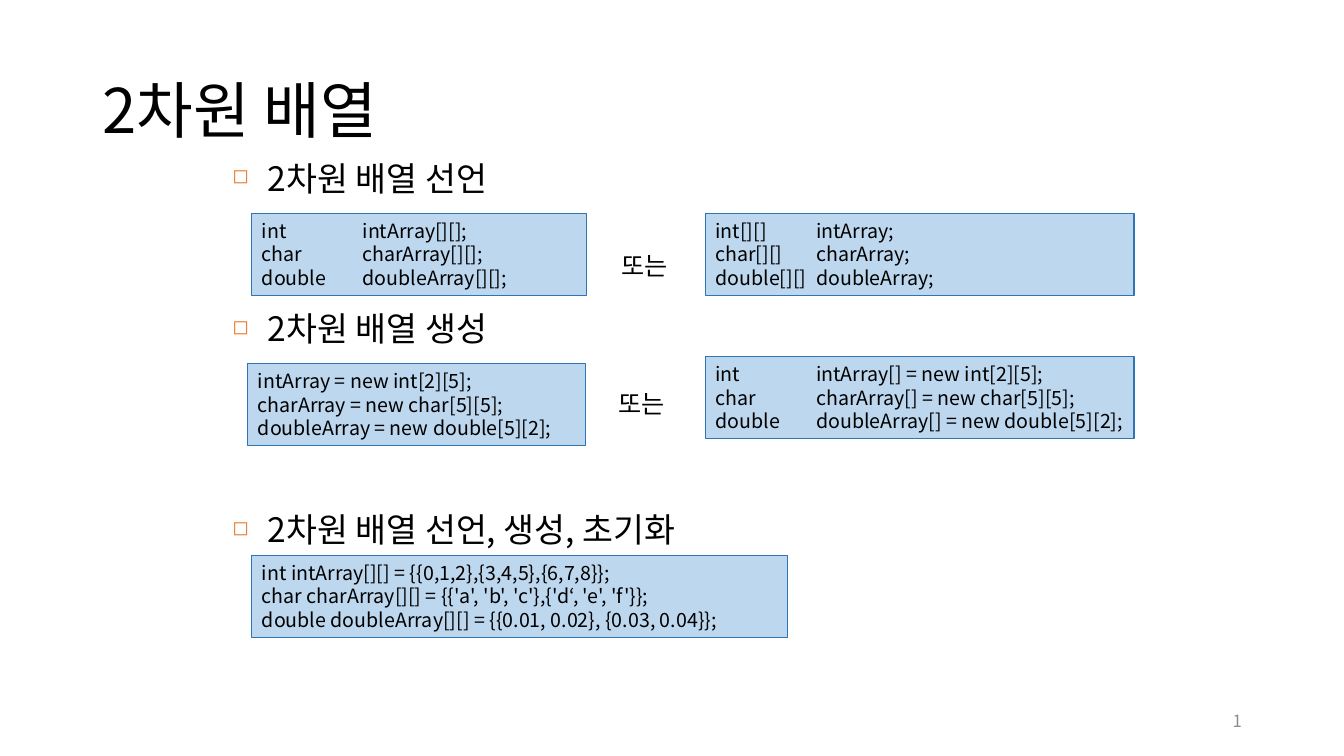
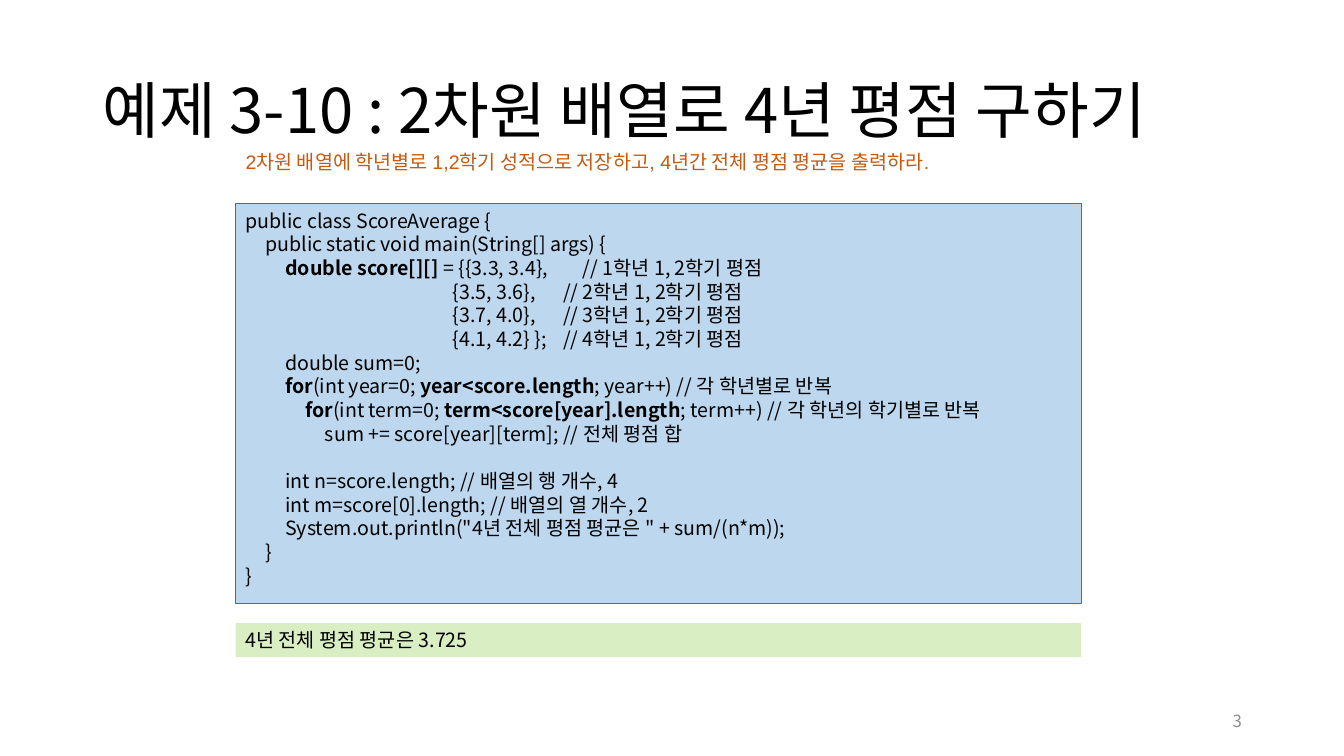
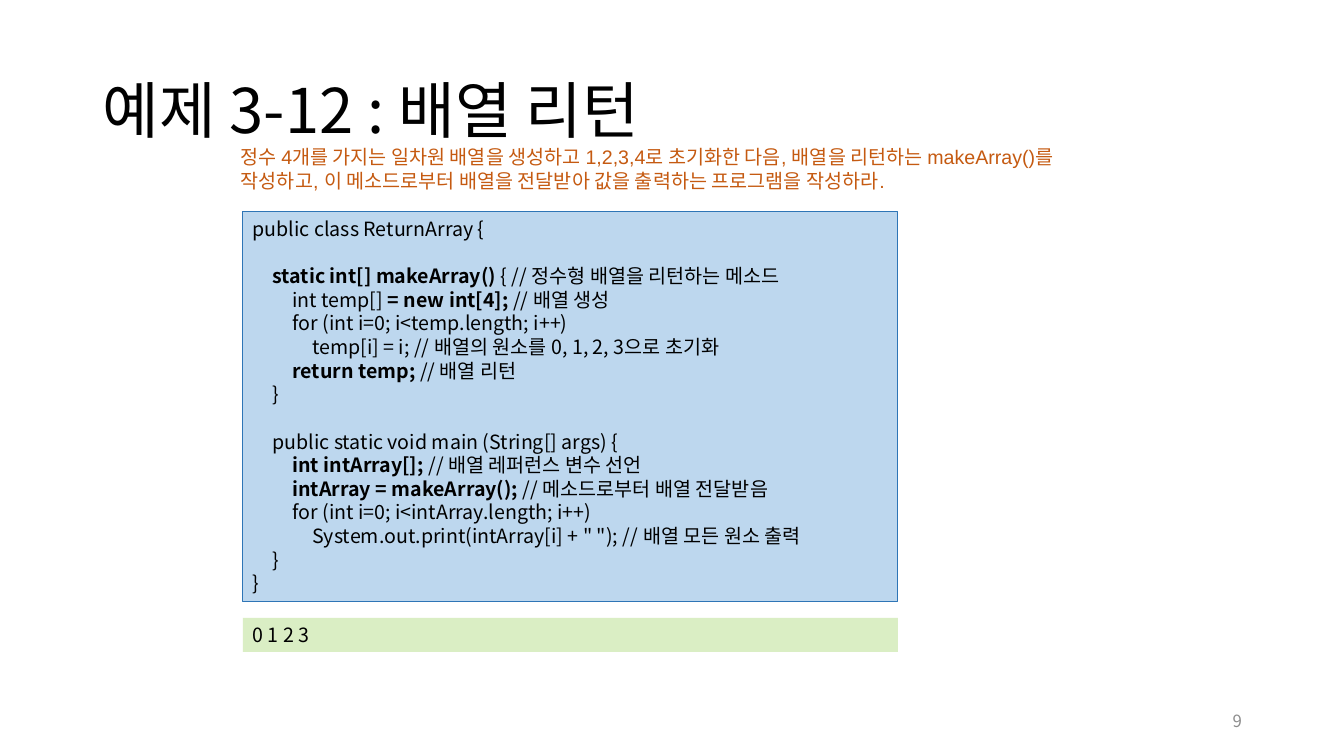
from lxml import etree
from pptx import Presentation
from pptx import util as u
from pptx.dml.color import RGBColor
from pptx.enum import shapes, text
from pptx.oxml import ns

BLACK = RGBColor(0x00, 0x00, 0x00)
GRAY = RGBColor(0x8C, 0x8C, 0x8C)
ORANGE = RGBColor(0xED, 0x7D, 0x31)
RUST = RGBColor(0xC5, 0x5A, 0x11)
CODE_FILL = RGBColor(0xBD, 0xD7, 0xEE)
CODE_LINE = RGBColor(0x2E, 0x75, 0xB6)
OUTPUT_FILL = RGBColor(0xDA, 0xEE, 0xC4)

FONT = "Noto Sans CJK KR"
TASK_FONT = "Arial"
LINE_RATIO = 1.205
WIDE_TAB, NARROW_TAB = 2.54, 0.5
TEXT_LINE_HEIGHT = 0.86
TITLE_BOX = (2.33, 1.01, 29.21, 3.68)
NUMBER_BOX = (23.93, 17.65, 7.62, 1.02)


def lengths(box):
    return [u.Cm(value) for value in box]


def add_property(paragraph, tag, **attributes):
    properties = paragraph._p.get_or_add_pPr()
    return etree.SubElement(properties, ns.qn(tag), attributes)


def format_font(paragraph, size, color=BLACK, name=FONT):
    font = paragraph.font
    font.name, font.size = name, u.Pt(size)
    font.color.rgb = color


def write_lines(frame, lines, size, color=BLACK, name=FONT, tab=None):
    """Write one paragraph per line; ** marks bold, an empty line is a gap."""
    frame.word_wrap = True
    frame.vertical_anchor = text.MSO_ANCHOR.TOP
    line_height = u.Pt(round(size * LINE_RATIO, 1))
    gap, paragraph = 0, None
    for line in lines:
        if not line:
            gap += line_height
            continue
        paragraph = frame.add_paragraph() if paragraph else frame.paragraphs[0]
        paragraph.alignment = text.PP_ALIGN.LEFT
        paragraph.line_spacing = line_height
        paragraph.space_before = u.Emu(gap)
        gap = 0
        if tab:
            stops = add_property(paragraph, "a:tabLst")
            for number in range(1, 25):
                etree.SubElement(stops, ns.qn("a:tab"),
                                 pos=str(u.Cm(number * tab)), algn="l")
        format_font(paragraph, size, color, name)
        for index, part in enumerate(line.split("**")):
            if part:
                run = paragraph.add_run()
                run.text = part
                if index % 2:
                    run.font.bold = True


def add_text(slide, box, lines, size, color=BLACK, name=FONT):
    textbox = slide.shapes.add_textbox(*lengths(box))
    write_lines(textbox.text_frame, lines, size, color, name)
    return textbox


def add_panel(slide, box, lines, fill, line=None, tab=WIDE_TAB):
    panel = slide.shapes.add_shape(shapes.MSO_SHAPE.RECTANGLE, *lengths(box))
    panel.shadow.inherit = False
    panel.fill.solid()
    panel.fill.fore_color.rgb = fill
    if line is None:
        panel.line.fill.background()
    else:
        panel.line.color.rgb = line
        panel.line.width = u.Pt(0.75)
    write_lines(panel.text_frame, lines, 14, tab=tab)


def add_slide(presentation, heading, number):
    """Start a slide with its title and page number."""
    slide = presentation.slides.add_slide(presentation.slide_layouts[5])
    title = slide.shapes.title
    title.left, title.top, title.width, title.height = lengths(TITLE_BOX)
    title.text_frame.text = heading
    title.text_frame.vertical_anchor = text.MSO_ANCHOR.MIDDLE
    paragraph = title.text_frame.paragraphs[0]
    paragraph.alignment = text.PP_ALIGN.LEFT
    paragraph.line_spacing = 0.9
    format_font(paragraph, 44)

    page = add_text(slide, NUMBER_BOX, [str(number)], 12, GRAY)
    page.text_frame.vertical_anchor = text.MSO_ANCHOR.MIDDLE
    page.text_frame.paragraphs[0].alignment = text.PP_ALIGN.RIGHT
    return slide


def add_topics(slide, box, topics):
    """Bulleted topics, each with the space to leave above it in points."""
    frame = slide.shapes.add_textbox(*lengths(box)).text_frame
    frame.word_wrap = True
    for index, (topic, space) in enumerate(topics):
        paragraph = frame.add_paragraph() if index else frame.paragraphs[0]
        paragraph.line_spacing = u.Pt(28.9)
        paragraph.space_before = u.Pt(space)
        properties = paragraph._p.get_or_add_pPr()
        properties.set("marL", str(u.Cm(0.89)))
        properties.set("indent", str(-u.Cm(0.89)))
        color = add_property(paragraph, "a:buClr")
        etree.SubElement(color, ns.qn("a:srgbClr"), val=str(ORANGE))
        add_property(paragraph, "a:buSzPct", val="60000")
        add_property(paragraph, "a:buChar", char="◻")
        format_font(paragraph, 24)
        paragraph.add_run().text = topic


def build_syntax_slide(presentation):
    slide = add_slide(presentation, "2차원 배열", 1)
    add_topics(slide, (5.61, 3.84, 22.66, 14.68), [
        ("2차원 배열 선언", 0),
        ("2차원 배열 생성", 78.8),
        ("2차원 배열 선언, 생성, 초기화", 114.7),
    ])
    snippets = [
        # Declaration
        (6.35, 5.38, 8.43, ["int\tintArray[][];", "char\tcharArray[][];",
                            "double\tdoubleArray[][];"]),
        (17.78, 5.38, 10.8, ["int[][]\tintArray;", "char[][]\tcharArray;",
                             "double[][]\tdoubleArray;"]),
        # Creation
        (6.25, 9.17, 8.51, ["intArray = new int[2][5];",
                            "charArray = new char[5][5];",
                            "doubleArray = new double[5][2];"]),
        (17.78, 8.99, 10.8, ["int\tintArray[] = new int[2][5];",
                             "char\tcharArray[] = new char[5][5];",
                             "double\tdoubleArray[] = new double[5][2];"]),
        # Initialisation
        (6.35, 14, 13.49, [
            "int intArray[][] = {{0,1,2},{3,4,5},{6,7,8}};",
            "char charArray[][] = {{'a', 'b', 'c'},{'d‘, 'e', 'f'}};",
            "double doubleArray[][] = {{0.01, 0.02}, {0.03, 0.04}};"]),
    ]
    for left, top, width, lines in snippets:
        add_panel(slide, (left, top, width, 2.06), lines, CODE_FILL, CODE_LINE)
    for left, top in ((15.42, 6.17), (15.34, 9.65)):
        add_text(slide, (left, top, 2.03, 1.02), ["또는"], 18)


def build_example_slide(presentation, heading, number, task, task_box,
                        code, code_box, output, output_top):
    """Task above, program in the middle, its output below."""
    slide = add_slide(presentation, heading, number)
    add_text(slide, task_box, [task], 14, RUST, TASK_FONT)
    add_panel(slide, code_box, code, CODE_FILL, CODE_LINE, NARROW_TAB)
    left, _, width, _ = code_box
    add_panel(slide, (left, output_top, width, TEXT_LINE_HEIGHT), [output],
              OUTPUT_FILL)


SCORE_COLUMN = "\t" * 10 + "  "
SCORE_CODE = [
    "public class ScoreAverage {",
    "\tpublic static void main(String[] args) {",
    "\t\t**double score[][] **= {{3.3, 3.4},\t\t// 1학년 1, 2학기 평점",
    SCORE_COLUMN + "{3.5, 3.6},\t\t// 2학년 1, 2학기 평점",
    SCORE_COLUMN + "{3.7, 4.0},\t\t// 3학년 1, 2학기 평점",
    SCORE_COLUMN + "{4.1, 4.2} };\t// 4학년 1, 2학기 평점",
    "\t\tdouble sum=0;",
    "\t\t**for**(int year=0; **year<score.length**; year++) // 각 학년별로 반복",
    "\t\t\t**for**(int term=0; **term<score[year].length**; term++)"
    " // 각 학년의 학기별로 반복",
    "\t\t\t\tsum += score[year][term]; // 전체 평점 합",
    "",
    "\t\tint n=score.length; // 배열의 행 개수, 4",
    "\t\tint m=score[0].length; // 배열의 열 개수, 2",
    "\t\tSystem.out.println(\"4년 전체 평점 평균은 \" + sum/(n*m));",
    "\t}",
    "}",
]

RETURN_CODE = [
    "public class ReturnArray {",
    "",
    "\t**static int[] makeArray() **{ // 정수형 배열을 리턴하는 메소드",
    "\t\tint temp[] **= new int[4]; **// 배열 생성",
    "\t\tfor (int i=0; i<temp.length; i++)",
    "\t\t\ttemp[i] = i; // 배열의 원소를 0, 1, 2, 3으로 초기화",
    "\t\t**return temp; **// 배열 리턴",
    "\t}",
    "",
    "\tpublic static void main (String[] args) {",
    "\t\t**int intArray[]; **// 배열 레퍼런스 변수 선언",
    "\t\t**intArray = makeArray(); **// 메소드로부터 배열 전달받음",
    "\t\tfor (int i=0; i<intArray.length; i++)",
    "\t\t\tSystem.out.print(intArray[i] + \" \"); // 배열 모든 원소 출력",
    "\t}",
    "}",
]


def main():
    presentation = Presentation()
    presentation.slide_width = u.Cm(33.87)
    presentation.slide_height = u.Cm(19.05)
    build_syntax_slide(presentation)
    build_example_slide(
        presentation, "예제 3-10 : 2차원 배열로 4년 평점 구하기", 3,
        task="2차원 배열에 학년별로 1,2학기 성적으로 저장하고, "
             "4년간 전체 평점 평균을 출력하라.",
        task_box=(5.94, 3.66, 21.72, TEXT_LINE_HEIGHT),
        code=SCORE_CODE, code_box=(5.94, 5.13, 21.31, 10.08),
        output="4년 전체 평점 평균은 3.725", output_top=15.7)
    build_example_slide(
        presentation, "예제 3-12 : 배열 리턴", 9,
        task="정수 4개를 가지는 일차원 배열을 생성하고 1,2,3,4로 초기화한 다음, "
             "배열을 리턴하는 makeArray()를 작성하고, 이 메소드로부터 배열을 "
             "전달받아 값을 출력하는 프로그램을 작성하라.",
        task_box=(5.82, 3.53, 22.12, 1.45),
        code=RETURN_CODE, code_box=(6.12, 5.33, 16.51, 9.83),
        output="0 1 2 3", output_top=15.57)
    presentation.save("out.pptx")


if __name__ == "__main__":
    main()
